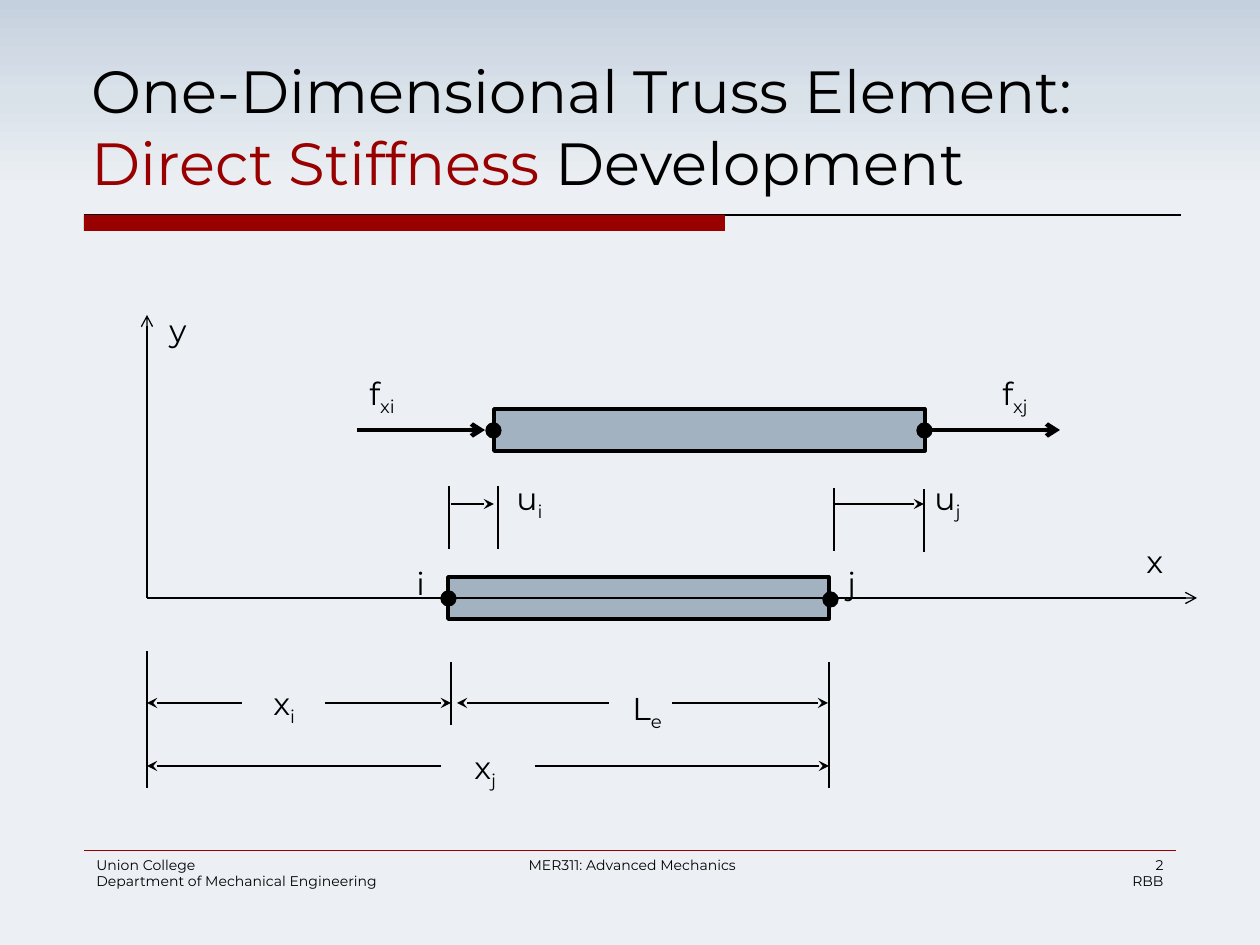
from copy import deepcopy

from pptx import Presentation
from pptx.dml.color import RGBColor
from pptx.enum.shapes import MSO_CONNECTOR, MSO_SHAPE
from pptx.enum.text import MSO_ANCHOR, PP_ALIGN
from pptx.oxml.ns import qn
from pptx.util import Pt
from lxml import etree

STRAIGHT = MSO_CONNECTOR.STRAIGHT
RECTANGLE, OVAL = MSO_SHAPE.RECTANGLE, MSO_SHAPE.OVAL
LEFT, CENTER, RIGHT = PP_ALIGN.LEFT, PP_ALIGN.CENTER, PP_ALIGN.RIGHT
TOP, MIDDLE = MSO_ANCHOR.TOP, MSO_ANCHOR.MIDDLE
EMU_PER_PIXEL = 914400 / 126
COLORS = {"ink": "000000", "red": "990000", "steel": "A3B2C1",
          "sky": "C4D0DE", "haze": "D9E1E9", "paper": "ECF0F4"}


def emu(pixels):
    """Turn pixels into EMU."""
    return round(pixels * EMU_PER_PIXEL)


def rgb(name):
    """Look up a named colour."""
    return RGBColor.from_string(COLORS[name])


class Diagram:
    """Draws styled elements on one slide."""

    def __init__(self, slide, font="Montserrat"):
        self.slide = slide
        self.shapes = slide.shapes
        self.font = font

    def background(self, stops):
        """Fill the slide with a downward gradient."""
        fill = self.slide.background.fill
        fill.gradient()
        stop_list = self.slide._element.find(".//" + qn("a:gsLst"))
        while len(stop_list) < len(stops):
            stop_list.append(deepcopy(stop_list[-1]))
        for stop, (position, color) in zip(fill.gradient_stops, stops):
            stop.position = position
            stop.color.rgb = rgb(color)
        fill.gradient_angle = 270

    def shape(self, kind, left, top, width, height, fill, line_width=0):
        """Add a filled preset shape with an optional ink outline."""
        shape = self.shapes.add_shape(kind, emu(left), emu(top), emu(width), emu(height))
        shape.shadow.inherit = False
        shape.fill.solid()
        shape.fill.fore_color.rgb = rgb(fill)
        if line_width:
            shape.line.color.rgb = rgb("ink")
            shape.line.width = Pt(line_width)
        else:
            shape.line.fill.background()

    def line(self, x1, y1, x2, y2, width, head=None, color="ink"):
        """Add a straight line, with an arrowhead at its end if given."""
        connector = self.shapes.add_connector(STRAIGHT, emu(x1), emu(y1), emu(x2), emu(y2))
        connector.line.color.rgb = rgb(color)
        connector.line.width = Pt(width)
        if head:
            etree.SubElement(connector.line._get_or_add_ln(), qn("a:tailEnd"), type=head)
        etree.SubElement(connector._element.spPr, qn("a:effectLst"))

    def text(self, box, lines, size, align=LEFT, anchor=TOP, wrap=True):
        """Add paragraphs, each a list of (text, colour) runs."""
        frame = self.shapes.add_textbox(*map(emu, box)).text_frame
        frame.word_wrap = wrap
        frame.vertical_anchor = anchor
        for index, runs in enumerate(lines):
            paragraph = frame.add_paragraph() if index else frame.paragraphs[0]
            paragraph.alignment = align
            for text, color in runs:
                run = paragraph.add_run()
                run.text = text
                run.font.name = self.font
                run.font.size = Pt(size)
                run.font.color.rgb = rgb(color)
        return frame

    def label(self, left, top, width, symbol, subscript=""):
        """Add a symbol with an optional subscript."""
        runs = [(text, "ink") for text in (symbol, subscript) if text]
        frame = self.text((left, top, width, 50), [runs], 18, wrap=False)
        for run in frame.paragraphs[0].runs[1:]:
            run._r.get_or_add_rPr().set("baseline", "-25000")

    def bar(self, left, top, width, nodes):
        """Add a truss bar with a dot at each node centre."""
        self.shape(RECTANGLE, left, top, width, 42, "steel", 2)
        for x, y in nodes:
            self.shape(OVAL, x - 7, y - 7, 15, 15, "ink", 0.75)


presentation = Presentation()
presentation.slide_width, presentation.slide_height = emu(1260), emu(945)
diagram = Diagram(presentation.slides.add_slide(presentation.slide_layouts[6]))
diagram.background([(0, "sky"), (0.1, "haze"), (0.2, "paper")])

diagram.line(84, 215, 1181, 215, 0.75)
diagram.shape(RECTANGLE, 84, 215, 641, 16, "red")
diagram.line(84, 850, 1176, 850, 0.25, color="red")
diagram.text((79, 42, 1103, 167),
             [[("One-Dimensional Truss Element:", "ink")],
              [("Direct Stiffness ", "red"), ("Development", "ink")]],
             34, anchor=MIDDLE)

FOOTERS = [
    ((84, 850, 347, 63), ["Union College", "Department of Mechanical Engineering"], LEFT),
    ((480, 850, 305, 30), ["MER311: Advanced Mechanics"], CENTER),
    ((882, 850, 294, 50), ["2", "RBB"], RIGHT),
]
for box, lines, align in FOOTERS:
    diagram.text(box, [[(line, "ink")] for line in lines], 8, align)

diagram.bar(494, 409, 431, [(493, 430), (924, 430)])
diagram.bar(448, 577, 381, [(448, 598), (830, 599)])

for start in (932, 357):
    diagram.line(start, 430, start + 128, 430, 2.5, "arrow")
for x, y in ((1197, 598), (147, 315)):
    diagram.line(147, 598, x, y, 0.75, "arrow")

EXTENSION_LINES = [(449, 486, 549), (498, 486, 549), (834, 488, 551), (924, 489, 552),
                   (147, 651, 788), (451, 662, 725), (829, 662, 788)]
for x, top, bottom in EXTENSION_LINES:
    diagram.line(x, bottom, x, top, 1.25)

DIMENSION_ARROWS = {504: [(451, 494), (833, 924)],
                    703: [(242, 147), (325, 451), (609, 457), (672, 828)],
                    766: [(441, 147), (535, 829)]}
for y, spans in DIMENSION_ARROWS.items():
    for start, end in spans:
        diagram.line(start, y, end, y, 1.5, "stealth")

LABELS = [(462, 742, 54, "x", "j"), (261, 678, 54, "x", "i"),
          (404, 558, 37, "i"), (835, 558, 37, "j"),
          (620, 683, 60, "L", "e"),
          (357, 368, 59, "f", "xi"), (990, 368, 59, "f", "xj"),
          (504, 473, 54, "u", "i"), (922, 473, 54, "u", "j"),
          (1134, 536, 47, "x"), (157, 305, 47, "y")]
for label in LABELS:
    diagram.label(*label)

presentation.save("out.pptx")
